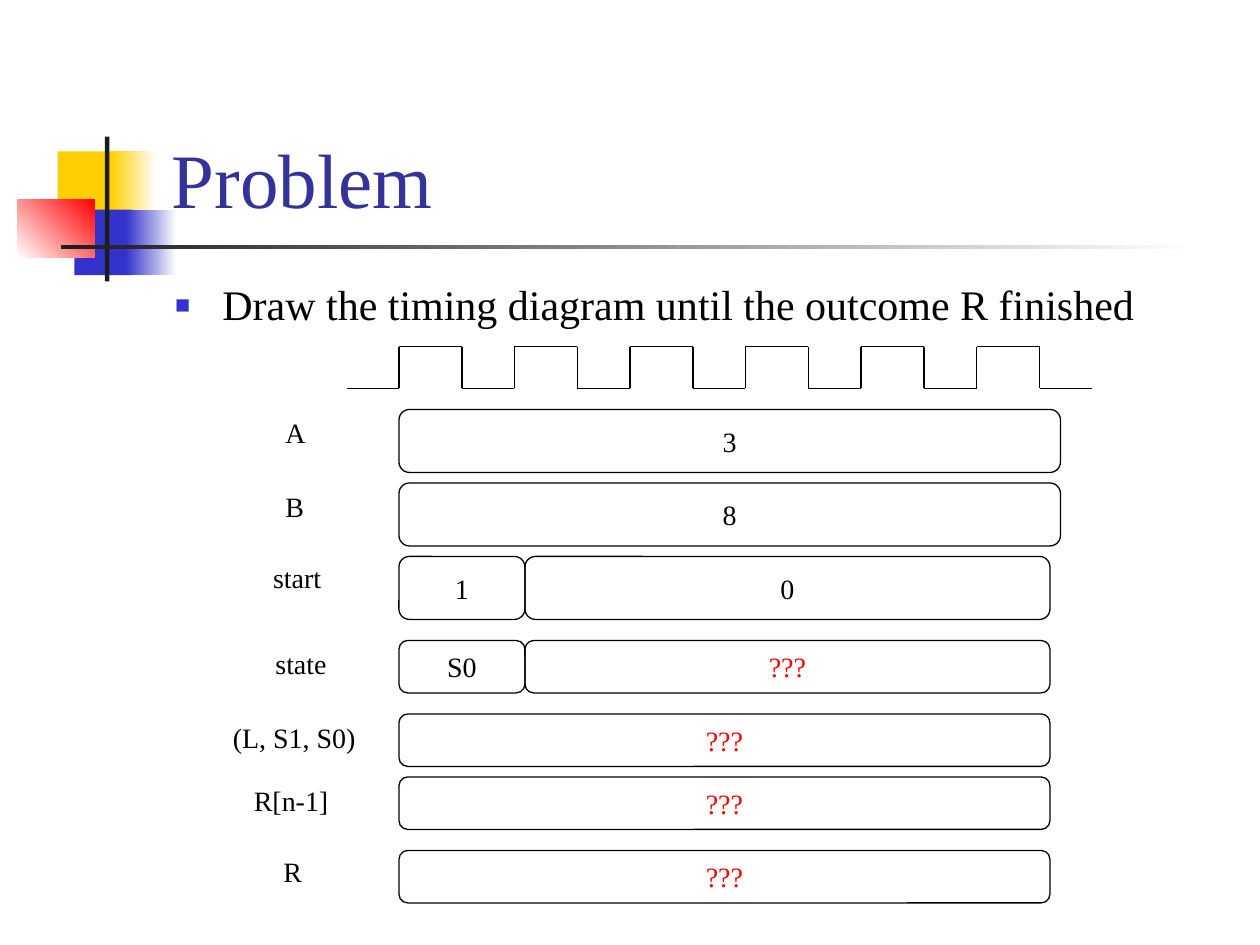
from itertools import pairwise

from lxml import etree
from pptx import Presentation
from pptx.dml.color import RGBColor
from pptx.enum import shapes, text
from pptx.oxml.ns import qn
from pptx.util import Pt

FONT = "Times New Roman"
BLACK = RGBColor(0, 0, 0)
WHITE = RGBColor(255, 255, 255)
RED = RGBColor(255, 0, 0)
GOLD = RGBColor(0xFF, 0xCF, 0x01)
BLUE = RGBColor(0x33, 0x33, 0xCC)
NAVY = RGBColor(0x33, 0x33, 0x99)
INK = RGBColor(0x1C, 0x1C, 0x1C)


def write(shape, words, size=16, color=BLACK, align=text.PP_ALIGN.LEFT,
          anchor=text.MSO_ANCHOR.TOP, wrap=False, fit=text.MSO_AUTO_SIZE.NONE):
    frame = shape.text_frame
    frame.text = words
    frame.word_wrap, frame.auto_size = wrap, fit
    frame.vertical_anchor = anchor
    para = frame.paragraphs[0]
    para.alignment = align
    font = para.runs[0].font
    font.name, font.size, font.color.rgb = FONT, Pt(size), color
    return para


def block(slide, kind, box):
    shape = slide.shapes.add_shape(kind, *map(Pt, box))
    shape.shadow.inherit = False
    return shape


def wire(slide, start, end):
    line = slide.shapes.add_connector(
        shapes.MSO_CONNECTOR.STRAIGHT, *map(Pt, start + end))
    line.line.color.rgb, line.line.width = BLACK, Pt(0.75)
    etree.SubElement(line._element.spPr, qn("a:effectLst"))


def motif(slide, left, top):
    # Each part: offset from the corner, size, colours, gradient angle
    parts = [
        (23, 8.5, 34.5, 37.5, [GOLD], 0),
        (53.5, 8.5, 26, 37.5, [GOLD, WHITE], 0),
        (32.5, 41.8, 33, 37.4, [BLUE], 0),
        (62, 41.8, 28.8, 37.4, [BLUE, WHITE], 0),
        (0, 35.8, 44, 33.4, [WHITE, RED], 45),
        (50, 0, 2.5, 82.8, [INK], 0),
        (24.7, 62, 648, 2.5, [INK, WHITE], 0),
    ]
    for x, y, wide, high, tones, angle in parts:
        shape = block(slide, shapes.MSO_SHAPE.RECTANGLE,
                      (left + x, top + y, wide, high))
        shape.line.fill.background()
        if len(tones) == 1:
            shape.fill.solid()
            shape.fill.fore_color.rgb = tones[0]
        else:
            shape.fill.gradient()
            shape.fill.gradient_angle = angle
            for stop, tone in zip(shape.fill.gradient_stops, tones):
                stop.color.rgb = tone


def heading(slide, left, top, width, height):
    title = slide.shapes.title
    title.left, title.top = Pt(left), Pt(top)
    title.width, title.height = Pt(width), Pt(height)
    write(title, "Problem", size=44, color=NAVY,
          anchor=text.MSO_ANCHOR.BOTTOM, wrap=True)


def task(slide, left, top, width, height):
    box = slide.shapes.add_textbox(*map(Pt, (left, top, width, height)))
    para = write(box, "Draw the timing diagram until the outcome R finished",
                 size=24, wrap=True)
    para.line_spacing = 0.9
    # Square bullet with a hanging indent
    props = para._p.get_or_add_pPr()
    props.set("marL", str(Pt(27)))
    props.set("indent", str(-Pt(27)))
    tint = etree.SubElement(props, qn("a:buClr"))
    etree.SubElement(tint, qn("a:srgbClr"), val=str(BLUE))
    etree.SubElement(props, qn("a:buSzPct"), val="60000")
    etree.SubElement(props, qn("a:buFont"), typeface=FONT)
    etree.SubElement(props, qn("a:buChar"), char="■")


def clock(slide, left, top, height, count=6, low=30, high=36):
    base = top + height
    points = [(left, base)]
    x = left + low
    for _ in range(count):
        points += [(x, base), (x, top), (x + high, top), (x + high, base)]
        x += high + low
    points.append((x, base))
    for start, end in pairwise(points):
        wire(slide, start, end)


def signal(slide, left, top, height, name, place, cells):
    # Name: left edge, top edge and width
    x, y, wide = place
    label = slide.shapes.add_textbox(Pt(x), Pt(y), Pt(wide), Pt(26.6))
    write(label, name, fit=text.MSO_AUTO_SIZE.SHAPE_TO_FIT_TEXT)
    # Values, side by side
    for value, width in cells:
        cell = block(slide, shapes.MSO_SHAPE.ROUNDED_RECTANGLE,
                     (left, top, width, height))
        cell.fill.background()
        cell.line.color.rgb, cell.line.width = BLACK, Pt(0.75)
        write(cell, value, color=RED if value == "???" else BLACK,
              align=text.PP_ALIGN.CENTER, anchor=text.MSO_ANCHOR.MIDDLE)
        left += width


def timing(slide, left, top):
    clock(slide, left - 30, top, 24)
    rows = [
        (36, 36, "A", (156, 234, 28), [("3", 378)]),
        (78, 36, "B", (156, 276, 27), [("8", 378)]),
        (120, 36, "start", (149, 316.8, 44), [("1", 72), ("0", 300)]),
        (168, 30, "state", (150.3, 366, 46), [("S0", 72), ("???", 300)]),
        (210, 30, "(L, S1, S0)", (126, 408, 88), [("???", 372)]),
        (246, 30, "R[n-1]", (138, 444, 60), [("???", 372)]),
        (288, 30, "R", (154.8, 484.6, 27), [("???", 372)]),
    ]
    for down, *rest in rows:
        signal(slide, left, top + down, *rest)


def main():
    deck = Presentation()
    deck.slide_width, deck.slide_height = Pt(720), Pt(540)
    slide = deck.slides.add_slide(deck.slide_layouts[5])
    motif(slide, 10, 78)
    heading(slide, 91, 16.5, 613.5, 115.2)
    task(slide, 93, 159, 612, 39)
    timing(slide, 228, 198)
    deck.save("out.pptx")


if __name__ == "__main__":
    main()
